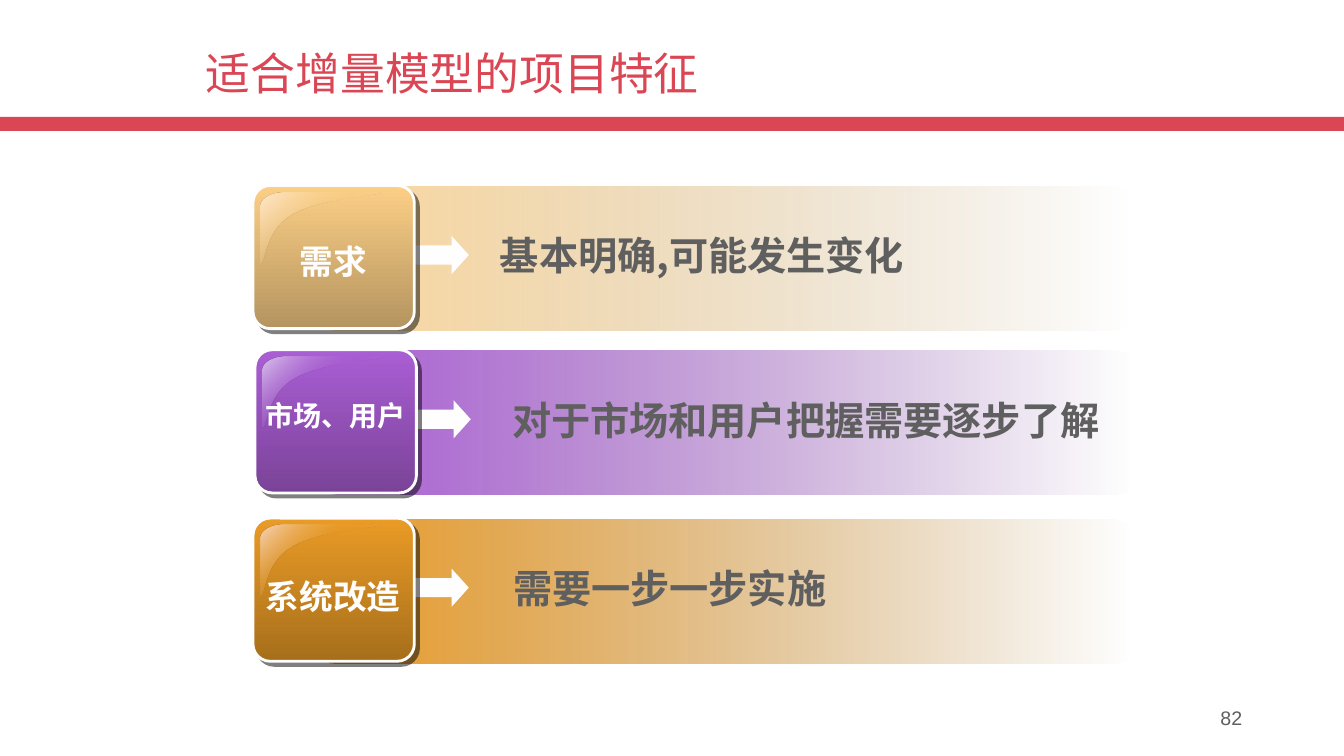
from pptx import Presentation
from pptx.dml.color import RGBColor
from pptx.enum.shapes import MSO_SHAPE
from pptx.enum.text import MSO_ANCHOR, MSO_AUTO_SIZE, PP_ALIGN
from pptx.oxml import parse_xml
from pptx.oxml.ns import nsdecls, qn
from pptx.util import Inches, Pt

RED = RGBColor(0xDA, 0x46, 0x54)
GRAY = RGBColor(0x5F, 0x5F, 0x5F)
WHITE = RGBColor(0xFE, 0xFE, 0xFE)
SAND = RGBColor(0xFC, 0xCF, 0x86)
SAND_DARK = RGBColor(0xB4, 0x94, 0x60)
SAND_PALE = RGBColor(0xFE, 0xE9, 0xD0)
PLUM = RGBColor(0xAA, 0x5E, 0xD4)
PLUM_DARK = RGBColor(0x7A, 0x43, 0x98)
PLUM_PALE = RGBColor(0xDB, 0xC7, 0xEB)
AMBER = RGBColor(0xEA, 0x9B, 0x26)
AMBER_DARK = RGBColor(0xA7, 0x6F, 0x1B)
AMBER_PALE = RGBColor(0xF5, 0xD6, 0xC0)
HAN = "Noto Sans CJK SC"

# Highlight on a tile: start point, then Bezier segments of three points
GLOSS = [
    [(0.24, 0), (0.11, 0), (0, 0.06), (0, 0.14)],
    [(0, 0.7), (0.06, 0.71), (0.03, 0.37), (0.33, 0.21)],
    [(0.33, 0.21), (0.63, 0.05), (1.2, 0.04), (1.19, 0)],
]


def blend(shape, stops, angle):
    """Fill with a gradient; stops are (position, colour, opacity) in percent."""
    marks = "".join(
        f'<a:gs pos="{pos * 1000}"><a:srgbClr val="{color}">'
        f'<a:alpha val="{alpha * 1000}"/></a:srgbClr></a:gs>'
        for pos, color, alpha in stops)
    shape.fill.background()
    props = shape._element.spPr
    props.replace(props.find(qn("a:noFill")), parse_xml(
        f'<a:gradFill {nsdecls("a")} rotWithShape="1"><a:gsLst>{marks}</a:gsLst>'
        f'<a:lin ang="{angle * 60000}" scaled="0"/></a:gradFill>'))


def add_form(slide, kind, left, top, width, height, fill=None):
    shape = slide.shapes.add_shape(
        kind, Inches(left), Inches(top), Inches(width), Inches(height))
    shape.shadow.inherit = False
    shape.line.fill.background()
    if fill is not None:
        shape.fill.solid()
        shape.fill.fore_color.rgb = fill
    return shape


def style(para, size, color, font=HAN, bold=False, align=PP_ALIGN.LEFT):
    para.alignment = align
    para.font.size = Pt(size)
    para.font.bold = bold
    para.font.color.rgb = color
    para.font.name = font
    latin = para._p.pPr.find(qn("a:defRPr")).find(qn("a:latin"))
    latin.addnext(parse_xml(f'<a:ea {nsdecls("a")} typeface="{HAN}"/>'))


def add_text(slide, text, left, top, width, height, *look, **more):
    box = slide.shapes.add_textbox(
        Inches(left), Inches(top), Inches(width), Inches(height))
    box.text_frame.word_wrap = True
    box.text_frame.text = text
    style(box.text_frame.paragraphs[0], *look, **more)


def add_gloss(slide, left, top, color, pale):
    points = []
    for a, b, c, d in GLOSS:
        for step in range(13):
            t = step / 12
            u = 1 - t
            points.append(tuple(
                Inches(base + u**3 * p + 3 * u * u * t * q + 3 * u * t * t * r + t**3 * s)
                for base, p, q, r, s in zip((left, top), a, b, c, d)))
    path = slide.shapes.build_freeform(*points[0])
    path.add_line_segments(points[1:], close=True)
    gloss = path.convert_to_shape()
    gloss.shadow.inherit = False
    gloss.line.fill.background()
    blend(gloss, [(0, pale, 100), (50, color, 0), (100, pale, 100)], 45)


def add_tile(slide, left, top, color, dark, pale):
    tile = add_form(slide, MSO_SHAPE.ROUNDED_RECTANGLE, left, top, 1.6, 1.42)
    tile.adjustments[0] = 0.12
    blend(tile, [(0, color, 100), (100, dark, 100)], 90)
    tile.line.color.rgb = WHITE
    tile.line.width = Pt(2)
    tile._element.spPr.find(qn("a:effectLst")).append(parse_xml(
        f'<a:outerShdw {nsdecls("a")} blurRad="0" dist="{Pt(4.2)}" dir="2700000" '
        'algn="ctr" rotWithShape="0"><a:srgbClr val="000000"><a:alpha val="50000"/>'
        '</a:srgbClr></a:outerShdw>'))
    add_gloss(slide, left + 0.07, top + 0.07, color, pale)


def add_row(slide, left, top, label, size, drop, text, shift, color, dark, pale, alpha):
    # Fading band and arrow
    band = add_form(slide, MSO_SHAPE.ROUNDED_RECTANGLE, left + 0.64, top, 8.08, 1.43)
    band.adjustments[0] = 0.12
    blend(band, [(0, color, alpha), (100, dark, 0)], 0)
    arrow = add_form(slide, MSO_SHAPE.RIGHT_ARROW,
                     left + 1.58, top + 0.49, 0.56, 0.38, WHITE)
    arrow.adjustments[1] = 0.45
    # Glossy tile, its label and the statement
    add_tile(slide, left, top - 0.01, color, dark, pale)
    add_text(slide, label, left - 0.17, top + drop, 1.93, 0.5,
             size, WHITE, "Arial", True, PP_ALIGN.CENTER)
    add_text(slide, text, left + shift, top + 0.4, 6.41, 0.57, 28, GRAY, bold=True)


def add_head(slide, left, top, width, height):
    add_form(slide, MSO_SHAPE.RECTANGLE, 0, 1.16, 13.33, 0.14, RED)
    title = slide.shapes.title
    title.left, title.top = Inches(left), Inches(top)
    title.width, title.height = Inches(width), Inches(height)
    frame = title.text_frame
    frame.text = "适合增量模型的项目特征"
    frame.vertical_anchor = MSO_ANCHOR.MIDDLE
    frame.auto_size = MSO_AUTO_SIZE.NONE
    frame.paragraphs[0].line_spacing = 0.9
    style(frame.paragraphs[0], 32, RED)


def main():
    deck = Presentation()
    deck.slide_width, deck.slide_height = Inches(13.33), Inches(7.5)
    slide = deck.slides.add_slide(deck.slide_layouts[5])
    add_head(slide, 1.94, 0.21, 8.92, 1.08)
    # Three traits
    add_row(slide, 2.51, 1.85, "需求", 24, 0.49, "基本明确,可能发生变化", 2.35,
            SAND, SAND_DARK, SAND_PALE, 80)
    add_row(slide, 2.53, 3.48, "市场、用户", 20, 0.42,
            "对于市场和用户把握需要逐步了解", 2.45, PLUM, PLUM_DARK, PLUM_PALE, 100)
    add_row(slide, 2.51, 5.15, "系统改造", 24, 0.51, "需要一步一步实施", 2.48,
            AMBER, AMBER_DARK, AMBER_PALE, 100)
    # Page number
    add_text(slide, "82", 9.42, 6.95, 3, 0.4, 14, GRAY, "Arial", align=PP_ALIGN.RIGHT)
    deck.save("out.pptx")


if __name__ == "__main__":
    main()
